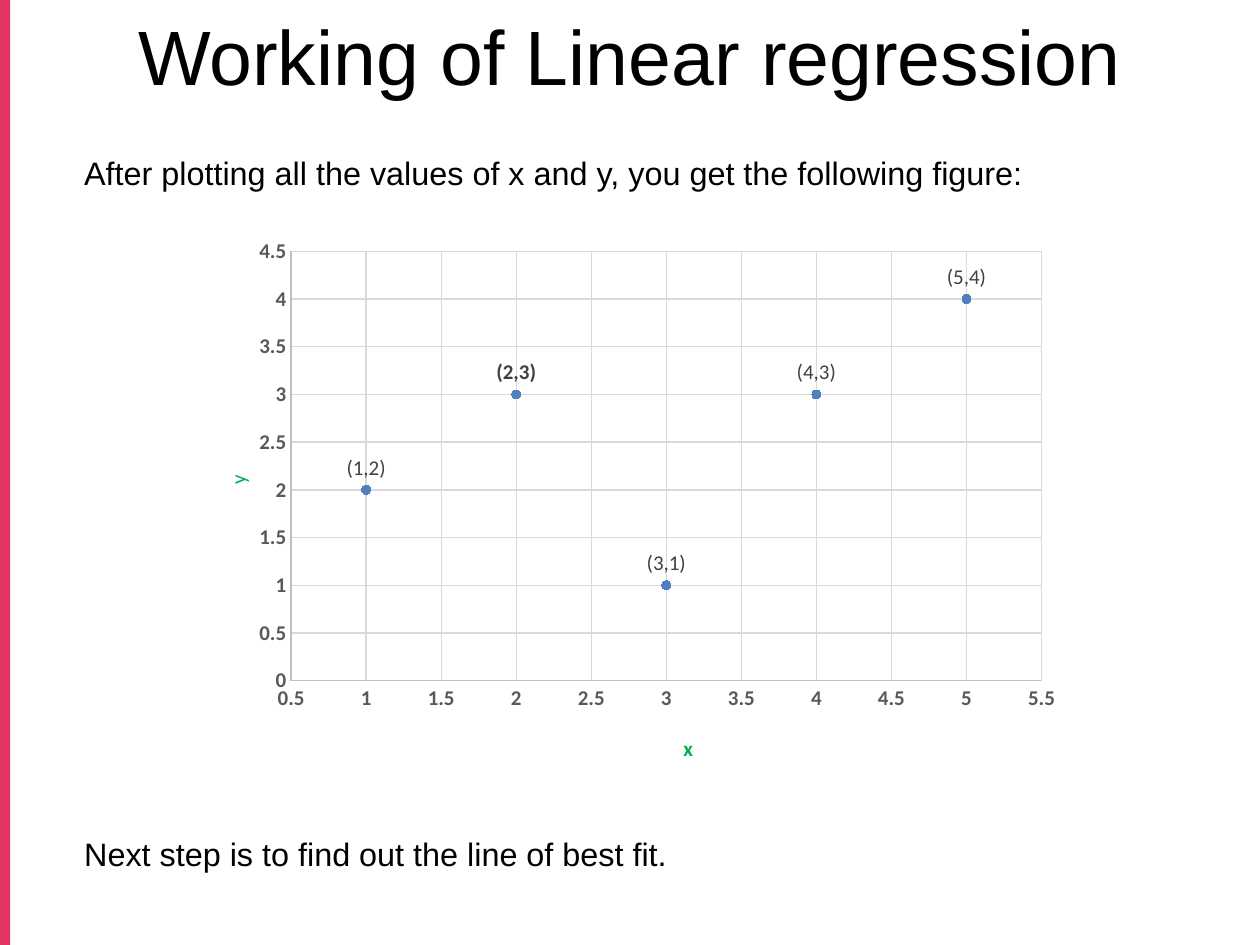
from lxml import etree
from pptx import Presentation
from pptx import util as u
from pptx.chart.data import XyChartData
from pptx.dml.color import RGBColor
from pptx.enum import chart as ch, shapes, text
from pptx.oxml.ns import qn

HEAD = "Working of Linear regression"
NOTES = [
    (1.17, "After plotting all the values of x and y, you get the following figure:"),
    (6.57, "Next step is to find out the line of best fit."),
]
POINTS = [(1, 2), (2, 3), (3, 1), (4, 3), (5, 4)]
BOLD = (2, 3)
FRAME = (1.46, 1.82, 7.09, 4.37)
PLOT = dict(x=0.12, y=0.04, w=0.84, h=0.78)
AXES = {
    "x": dict(low=0.5, high=5.5, bold=True, spot=dict(x=0.555, y=0.91)),
    "y": dict(low=0, high=4.5, bold=False, spot=dict(x=0.04, y=0.44)),
}
THEME = dict(
    bar="E33561", ink="000000", dot="4F81BD", name="00B050", tick="595959",
    tag="404040", axis="BFBFBF", grid="D9D9D9",
    head=44, body=18.5, chart=12, sans="Arial", plot="Calibri",
)


def style(font, size, color, face, bold=False):
    font.size = u.Pt(THEME[size])
    font.color.rgb = RGBColor.from_string(THEME[color])
    font.name = THEME[face]
    font.bold = bold


def write(frame, words, size="chart", color="ink", face="plot", bold=False, align=None):
    para = frame.paragraphs[0]
    para.alignment = align
    run = para.add_run()
    run.text = words
    style(run.font, size, color, face, bold)


def stroke(line, color):
    line.color.rgb = RGBColor.from_string(THEME[color])
    line.width = u.Pt(0.75)


def place(node, index, spot, inner=False):
    for old in node.findall(qn("c:layout")):
        node.remove(old)
    box = etree.Element(qn("c:layout"))
    node.insert(index, box)
    man = etree.SubElement(box, qn("c:manualLayout"))
    pairs = [("layoutTarget", "inner")] if inner else []
    pairs += [("xMode", "edge"), ("yMode", "edge"), *spot.items()]
    for tag, val in pairs:
        etree.SubElement(man, qn("c:" + tag)).set("val", str(val))


def set_axis(axis, name, low, high, bold, spot):
    axis.minimum_scale, axis.maximum_scale = low, high
    axis.major_unit = 0.5
    axis.major_tick_mark = axis.minor_tick_mark = ch.XL_TICK_MARK.NONE
    axis.has_major_gridlines = True
    stroke(axis.major_gridlines.format.line, "grid")
    stroke(axis.format.line, "axis")
    style(axis.tick_labels.font, "chart", "tick", "plot", True)
    axis.tick_labels.number_format = "General"
    axis.tick_labels.number_format_is_linked = False
    title = axis.axis_title
    write(title.text_frame, name, color="name", bold=bold)
    place(title._element, 1, spot)


def add_plot(slide):
    data = XyChartData()
    row = data.add_series("Series 1")
    for x, y in POINTS:
        row.add_data_point(x, y)
    chart = slide.shapes.add_chart(
        ch.XL_CHART_TYPE.XY_SCATTER, *map(u.Inches, FRAME), data
    ).chart
    chart.has_legend = chart.has_title = False
    style(chart.font, "chart", "ink", "plot")
    chart.plots[0].vary_by_categories = False
    set_axis(chart.category_axis, "x", **AXES["x"])
    set_axis(chart.value_axis, "y", **AXES["y"])
    place(chart._chartSpace.chart.plotArea, 0, PLOT, inner=True)

    dots = chart.plots[0].series[0]
    dots.format.line.fill.background()
    dots.marker.style = ch.XL_MARKER_STYLE.CIRCLE
    dots.marker.size = 5
    dots.marker.format.fill.solid()
    dots.marker.format.fill.fore_color.rgb = RGBColor.from_string(THEME["dot"])
    stroke(dots.marker.format.line, "dot")
    for i, (x, y) in enumerate(POINTS):
        label = dots.points[i].data_label
        write(label.text_frame, f"({x},{y})", color="tag", bold=(x, y) == BOLD)
        label.position = ch.XL_LABEL_POSITION.ABOVE


def main():
    deck = Presentation()
    deck.slide_width, deck.slide_height = u.Inches(10), u.Inches(7.5)
    slide = deck.slides.add_slide(deck.slide_layouts[5])

    bar = slide.shapes.add_shape(
        shapes.MSO_SHAPE.RECTANGLE, u.Inches(-0.01), 0, u.Inches(0.09), u.Inches(7.5)
    )
    bar.shadow.inherit = False
    bar.fill.solid()
    bar.fill.fore_color.rgb = RGBColor.from_string(THEME["bar"])
    bar.line.fill.background()

    title = slide.shapes.title
    title.left, title.top = u.Inches(0.5), u.Inches(-0.19)
    title.width, title.height = u.Inches(9), u.Inches(1.25)
    title.text_frame.vertical_anchor = text.MSO_ANCHOR.MIDDLE
    write(title.text_frame, HEAD, size="head", face="sans", align=text.PP_ALIGN.CENTER)

    for top, words in NOTES:
        box = slide.shapes.add_textbox(*map(u.Inches, (0.57, top, 8.86, 0.4)))
        box.text_frame.word_wrap = True
        write(box.text_frame, words, size="body", face="sans")

    add_plot(slide)
    deck.save("out.pptx")


if __name__ == "__main__":
    main()
